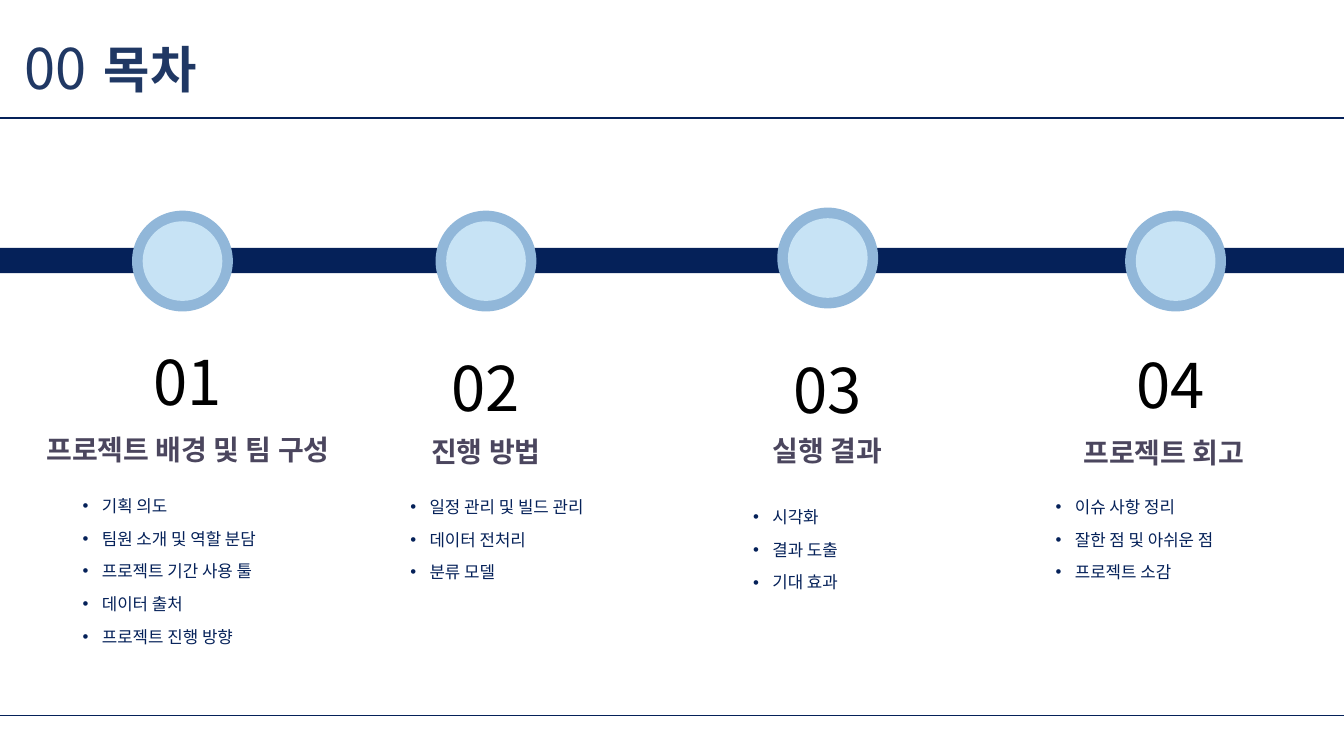
from lxml import etree
from pptx import Presentation
from pptx.dml.color import RGBColor
from pptx.enum.shapes import MSO_CONNECTOR, MSO_SHAPE
from pptx.enum.text import MSO_ANCHOR, MSO_AUTO_SIZE, PP_ALIGN
from pptx.oxml.ns import qn
from pptx.util import Inches, Pt

RECT, OVAL = MSO_SHAPE.RECTANGLE, MSO_SHAPE.OVAL
STRAIGHT = MSO_CONNECTOR.STRAIGHT
TOP, MIDDLE = MSO_ANCHOR.TOP, MSO_ANCHOR.MIDDLE
FIT_SHAPE, NO_FIT = MSO_AUTO_SIZE.SHAPE_TO_FIT_TEXT, MSO_AUTO_SIZE.NONE
LEFT, CENTER = PP_ALIGN.LEFT, PP_ALIGN.CENTER

COLORS = {"title": "203864", "navy": "052159", "ring": "91B7D9", "disc": "C7E3F5",
          "heading": "4B465E", "number": "000000", "white": "FFFFFF"}
SANS, ARIAL = "Noto Sans CJK KR", "Arial"
SLIDE_W, SLIDE_H = 13.33, 7.5
RING, DISC = 1.0, 0.79
COMPARISON_LAYOUT = 3 + 1  # a title and four body placeholders

# Circle corner, then offsets from it: number (x, y), heading and list (x, y, width)
STAGES = [
    {"circle": (1.31, 2.09), "number": (0.11, 1.27), "heading": (-1.17, 2.15, 3.45),
     "list": (-0.59, 2.74, 2.3), "name": "프로젝트 배경 및 팀 구성",
     "items": ["기획 의도", "팀원 소개 및 역할 분담", "프로젝트 기간 사용 툴",
               "데이터 출처", "프로젝트 진행 방향"]},
    {"circle": (4.32, 2.09), "number": (0.06, 1.33), "heading": (-0.43, 2.17, 1.86),
     "list": (-0.35, 2.75, 2.3), "name": "진행 방법",
     "items": ["일정 관리 및 빌드 관리", "데이터 전처리", "분류 모델"]},
    {"circle": (7.71, 2.06), "number": (0.06, 1.38), "heading": (-0.74, 2.19, 2.48),
     "list": (-0.34, 2.88, 1.68), "name": "실행 결과",
     "items": ["시각화", "결과 도출", "기대 효과"]},
    {"circle": (11.16, 2.09), "number": (0.01, 1.3), "heading": (-0.79, 2.18, 2.35),
     "list": (-0.79, 2.75, 2.48), "name": "프로젝트 회고",
     "items": ["이슈 사항 정리", "잘한 점 및 아쉬운 점", "프로젝트 소감"]},
]


def rgb(key):
    return RGBColor.from_string(COLORS[key])


def add_run(paragraph, text, size, color, font=SANS, bold=False):
    run = paragraph.add_run()
    run.text = text
    run.font.size, run.font.bold, run.font.name = Pt(size), bold, font
    run.font.color.rgb = rgb(color)
    etree.SubElement(run.font._element, qn("a:ea"), typeface=font)


def add_filled(slide, preset, x, y, w, h, color):
    shape = slide.shapes.add_shape(preset, Inches(x), Inches(y), Inches(w), Inches(h))
    shape.shadow.inherit = False
    shape.fill.solid()
    shape.fill.fore_color.rgb = rgb(color)
    shape.line.fill.background()
    return shape


def add_rule(slide, y):
    rule = slide.shapes.add_connector(STRAIGHT, 0, Inches(y), Inches(SLIDE_W), Inches(y))
    rule.line.color.rgb = rgb("navy")
    rule.line.width = Pt(1)
    etree.SubElement(rule._element.spPr, qn("a:effectLst"))


def add_number(slide, text, x, y, w, h, size, color):
    number = slide.shapes.add_textbox(Inches(x), Inches(y), Inches(w), Inches(h))
    number.text_frame.word_wrap = False
    number.text_frame.auto_size = FIT_SHAPE
    paragraph = number.text_frame.paragraphs[0]
    paragraph.alignment = CENTER
    add_run(paragraph, text, size, color)


def place(placeholder, x, y, w, h):
    placeholder.left, placeholder.top = Inches(x), Inches(y)
    placeholder.width, placeholder.height = Inches(w), Inches(h)


def add_header(slide, x, y):
    """Section number and title above the upper rule."""
    add_number(slide, "00", x, y, 0.92, 0.77, 40, "title")
    title = slide.shapes.title
    place(title, x + 0.84, y + 0.04, 4.1, 0.71)
    title.text_frame.auto_size = NO_FIT
    title.text_frame.vertical_anchor = MIDDLE
    paragraph = title.text_frame.paragraphs[0]
    paragraph.alignment = LEFT
    add_run(paragraph, "목차", 36, "title", ARIAL, True)


def add_heading(slide, text, x, y, w):
    heading = add_filled(slide, RECT, x, y, w, 0.44, "white")
    etree.SubElement(heading.fill._xPr.find(".//" + qn("a:srgbClr")),
                     qn("a:alpha"), val="70000")
    heading.text_frame.word_wrap = True
    heading.text_frame.vertical_anchor = MIDDLE
    paragraph = heading.text_frame.paragraphs[0]
    paragraph.alignment = CENTER
    add_run(paragraph, text, 20, "heading", bold=True)


def fill_list(body, items, x, y, w):
    place(body, x, y, w, 0.33 * len(items))
    frame = body.text_frame
    frame.auto_size, frame.vertical_anchor = FIT_SHAPE, TOP
    for index, item in enumerate(items):
        paragraph = frame.add_paragraph() if index else frame.paragraphs[0]
        properties = paragraph._p.get_or_add_pPr()
        properties.set("marL", str(Inches(0.19)))
        properties.set("indent", str(-Inches(0.19)))
        etree.SubElement(properties, qn("a:buFont"), typeface=ARIAL)
        etree.SubElement(properties, qn("a:buChar"), char="•")
        paragraph.line_spacing = 1.2
        paragraph.space_before = Pt(6 if index else 0)
        add_run(paragraph, item, 12, "navy")


def add_stage(slide, body, order, stage):
    """Circle on the timeline with its number, heading and list below."""
    x, y = stage["circle"]
    inset = (RING - DISC) / 2
    add_filled(slide, OVAL, x, y, RING, RING, "ring")
    add_filled(slide, OVAL, x + inset, y + inset, DISC, DISC, "disc")

    dx, dy = stage["number"]
    add_number(slide, f"{order:02d}", x + dx, y + dy, 0.88, 0.84, 44, "number")
    dx, dy, width = stage["heading"]
    add_heading(slide, stage["name"], x + dx, y + dy, width)
    dx, dy, width = stage["list"]
    fill_list(body, stage["items"], x + dx, y + dy, width)


def add_contents_slide(prs):
    slide = prs.slides.add_slide(prs.slide_layouts[COMPARISON_LAYOUT])
    add_header(slide, 0.09, 0.28)
    add_rule(slide, 1.17)
    # Timeline bar and stages
    add_filled(slide, RECT, 0, 2.46, SLIDE_W, 0.25, "navy")
    for order, stage in enumerate(STAGES, 1):
        add_stage(slide, slide.placeholders[order], order, stage)
    add_rule(slide, 7.1)


def main():
    prs = Presentation()
    prs.slide_width, prs.slide_height = Inches(SLIDE_W), Inches(SLIDE_H)
    add_contents_slide(prs)
    prs.save("out.pptx")


if __name__ == "__main__":
    main()
